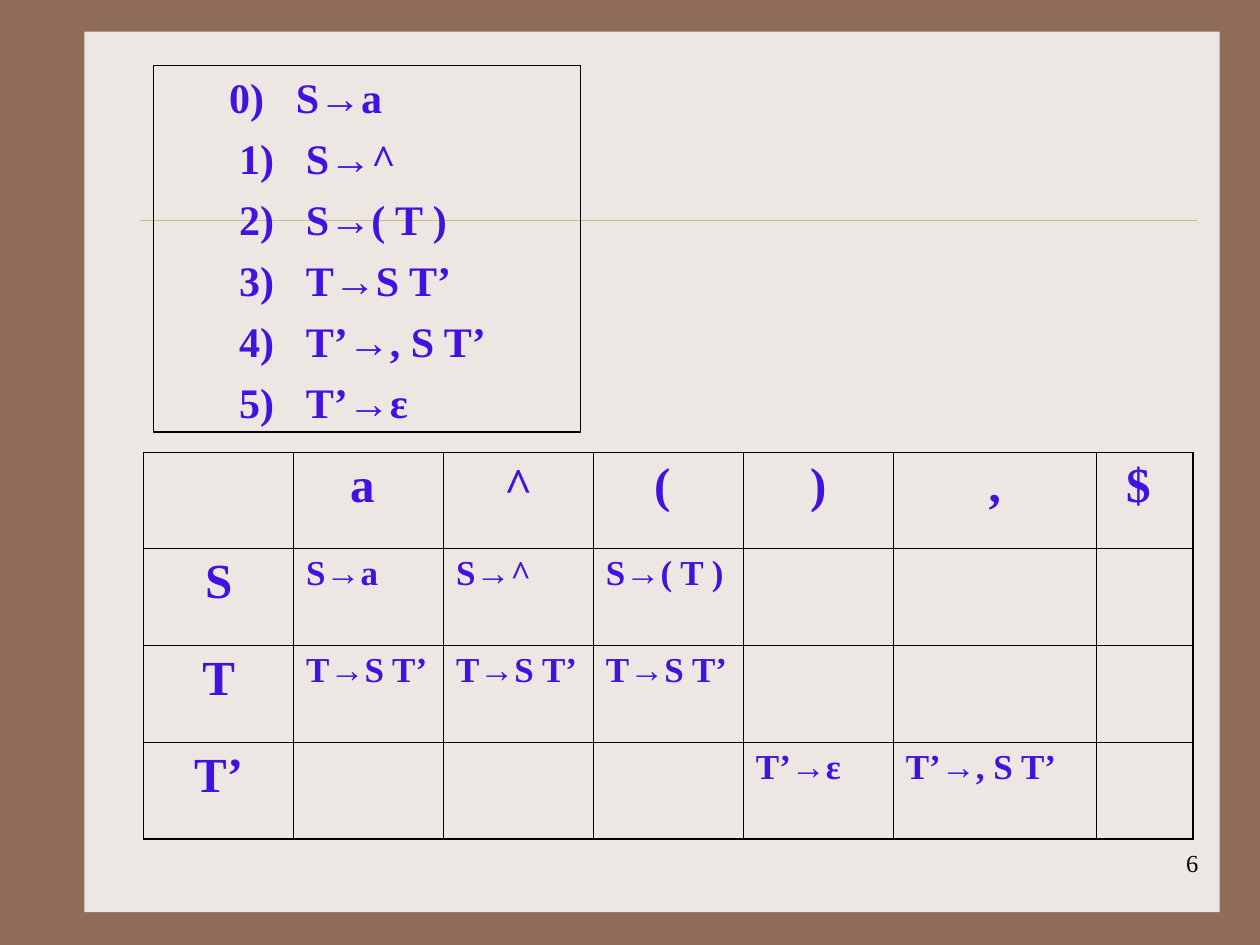
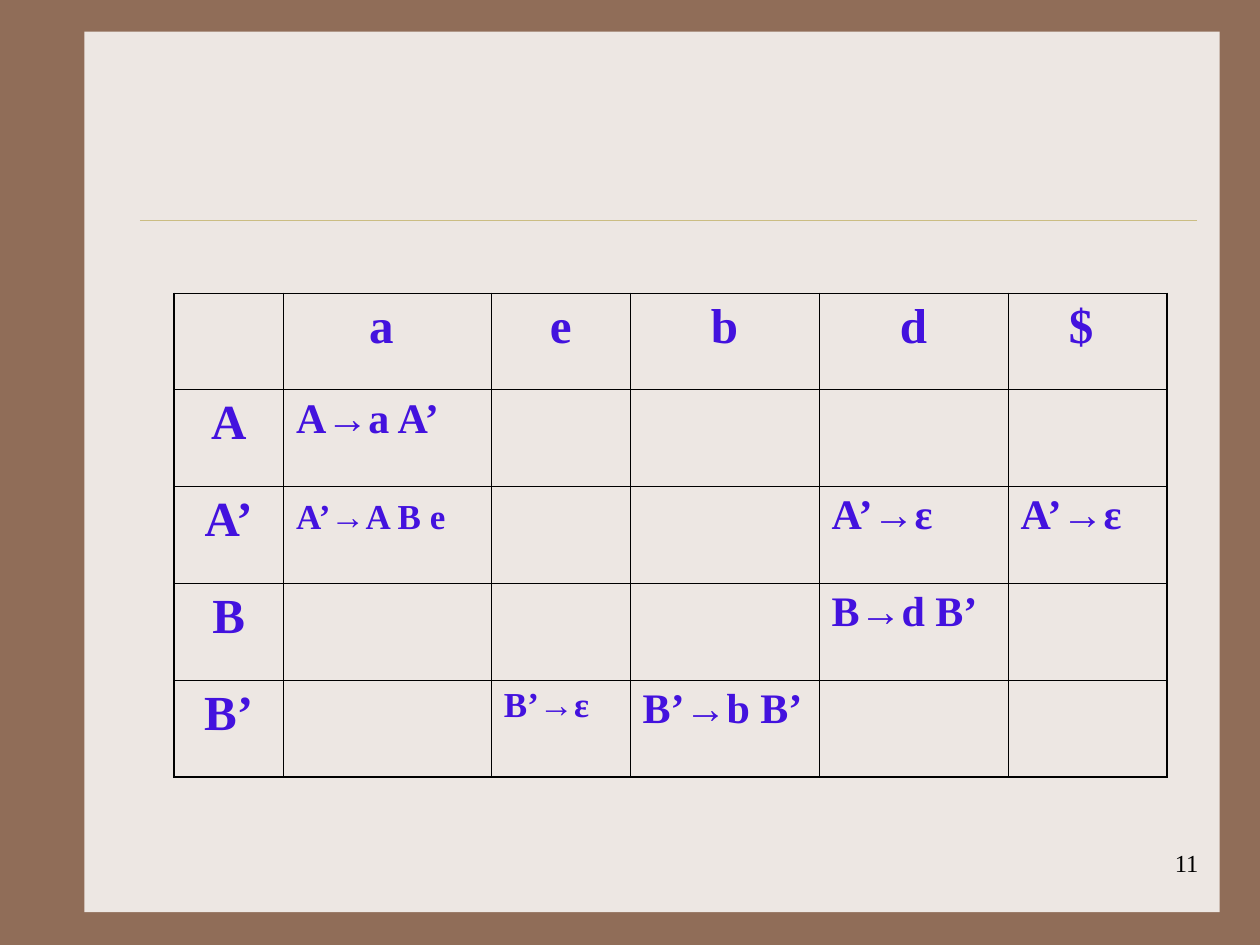
from lxml.etree import SubElement
from pptx import Presentation
from pptx.dml.color import RGBColor
from pptx.enum.shapes import MSO_CONNECTOR as Connector, MSO_SHAPE as Shape
from pptx.enum.text import MSO_ANCHOR as Anchor, PP_ALIGN as Align
from pptx.oxml.ns import qn
from pptx.util import Inches, Pt

COLORS = {"frame": "906D58", "panel": "EDE7E3", "rule": "CBBD83",
          "formula": "4312DE", "black": "000000"}
FONT = "Times New Roman"
HEADER_SIZE = 28
OUTER_LINE, INNER_LINE = 1.08, 0.45

# Content: a cell is a string, or a list of (text, size) runs
SLIDES = [
    {
        "number": "6",
        "productions": ["S→a", "S→^", "S→( T )", "T→S T’", "T’→, S T’", "T’→ε"],
        "origin": (1.14, 3.59),
        "columns": [1.19] * 5 + [1.61, 0.77],
        "size": 20,
        "rows": [
            ["", "a ", " ^ ", "( ", " ) ", " , ", "$ "],
            ["S", "S→a", "S→^", "S→( T )", "", "", ""],
            ["T", "T→S T’", "T→S T’", "T→S T’", "", "", ""],
            ["T’", "", "", "", "T’→ε", "T’→, S T’", ""],
        ],
    },
    {
        "number": "11",
        "productions": [],
        "origin": (1.38, 2.33),
        "columns": [0.87, 1.65, 1.1, 1.5, 1.5, 1.26],
        "size": 24,
        "rows": [
            ["", "a ", " e ", "b", " d ", "$ "],
            ["A", "A→a A’", "", "", "", ""],
            ["A’", [("A’→A B e", 20), (" ", 24)], "", "", "A’→ε", "A’→ε"],
            ["B", "", "", "", "B→d B’", ""],
            ["B’", "", [("B’→ε", 20)], "B’→b B’", "", ""],
        ],
    },
]


def rgb(name):
    return RGBColor.from_string(COLORS[name])


def add_run(paragraph, text, size, color="formula", bold=True):
    run = paragraph.add_run()
    run.text = text
    for name, value in {"name": FONT, "size": Pt(size), "bold": bold}.items():
        setattr(run.font, name, value)
    run.font.color.rgb = rgb(color)


def add_box(slide, left, top, width, height, fill=None, line=None):
    box = slide.shapes.add_shape(Shape.RECTANGLE, Inches(left), Inches(top),
                                 Inches(width), Inches(height))
    box.shadow.inherit = False
    if fill:
        box.fill.solid()
        box.fill.fore_color.rgb = rgb(fill)
    else:
        box.fill.background()
    if line:
        box.line.color.rgb = rgb(line)
        box.line.width = Pt(0.74)
    else:
        box.line.fill.background()
    return box


# Shared frame, panel, rule and page number
def add_background(slide):
    slide.background.fill.solid()
    slide.background.fill.fore_color.rgb = rgb("frame")
    add_box(slide, 0.67, 0.25, 9.01, 6.99, fill="panel")
    rule = slide.shapes.add_connector(Connector.STRAIGHT, Inches(1.11), Inches(1.75),
                                      Inches(9.5), Inches(1.75))
    rule.line.color.rgb = rgb("rule")
    rule.line.width = Pt(0.26)
    SubElement(rule.element.spPr, qn("a:effectLst"))


def add_page_number(slide, number):
    box = slide.shapes.add_textbox(Inches(7.53), Inches(6.68), Inches(2.08), Inches(0.5))
    box.text_frame.word_wrap = True
    paragraph = box.text_frame.paragraphs[0]
    paragraph.alignment = Align.RIGHT
    add_run(paragraph, number, 14, "black", False)


# Numbered grammar productions, each with a hanging number
def add_productions(slide, productions):
    frame = add_box(slide, 1.22, 0.52, 3.39, 2.91, line="black").text_frame
    frame.word_wrap = True
    frame.vertical_anchor = Anchor.TOP
    for index, production in enumerate(productions):
        paragraph = frame.paragraphs[0] if index == 0 else frame.add_paragraph()
        paragraph.alignment = Align.LEFT
        paragraph.space_before = Pt(6)
        properties = paragraph._p.get_or_add_pPr()
        properties.set("marL", str(Inches(1.11 if index else 1.03)))
        properties.set("indent", str(Inches(-0.53)))
        add_run(paragraph, f"{index})\t{production}", 24)


# Parsing table: thick outer border, thin inner lines
def set_borders(cell, widths):
    properties = cell._tc.get_or_add_tcPr()
    for side, width in widths.items():
        line = SubElement(properties, qn(f"a:ln{side}"), w=str(Pt(width)))
        fill = SubElement(line, qn("a:solidFill"))
        SubElement(fill, qn("a:srgbClr"), val=COLORS["black"])


def fill_cell(cell, content, size, centered):
    runs = [(content, size)] if isinstance(content, str) else content
    paragraph = cell.text_frame.paragraphs[0]
    paragraph.alignment = Align.CENTER if centered else Align.LEFT
    paragraph.space_before = Pt(max(run_size for _, run_size in runs) / 4)
    for text, run_size in runs:
        add_run(paragraph, text, run_size)


def add_parsing_table(slide, origin, columns, rows, size):
    heights = [0.76] + [0.77] * (len(rows) - 1)
    left, top = origin
    table = slide.shapes.add_table(len(rows), len(columns), Inches(left), Inches(top),
                                   Inches(sum(columns)), Inches(sum(heights))).table
    table.first_row = table.horz_banding = False
    for column, width in zip(table.columns, columns):
        column.width = Inches(width)
    for row, height in zip(table.rows, heights):
        row.height = Inches(height)
    last_row, last_column = len(rows) - 1, len(columns) - 1
    for r, row in enumerate(rows):
        for c, content in enumerate(row):
            cell = table.cell(r, c)
            outer = {"L": c == 0, "R": c == last_column, "T": r == 0, "B": r == last_row}
            set_borders(cell, {side: OUTER_LINE if is_outer else INNER_LINE
                               for side, is_outer in outer.items()})
            cell.fill.background()
            if content:
                is_header = r == 0 or c == 0
                fill_cell(cell, content, HEADER_SIZE if is_header else size, is_header)


presentation = Presentation()
presentation.slide_width, presentation.slide_height = Inches(10), Inches(7.5)
for content in SLIDES:
    slide = presentation.slides.add_slide(presentation.slide_layouts[6])
    add_background(slide)
    add_parsing_table(slide, content["origin"], content["columns"],
                      content["rows"], content["size"])
    if content["productions"]:
        add_productions(slide, content["productions"])
    add_page_number(slide, content["number"])
presentation.save("out.pptx")
